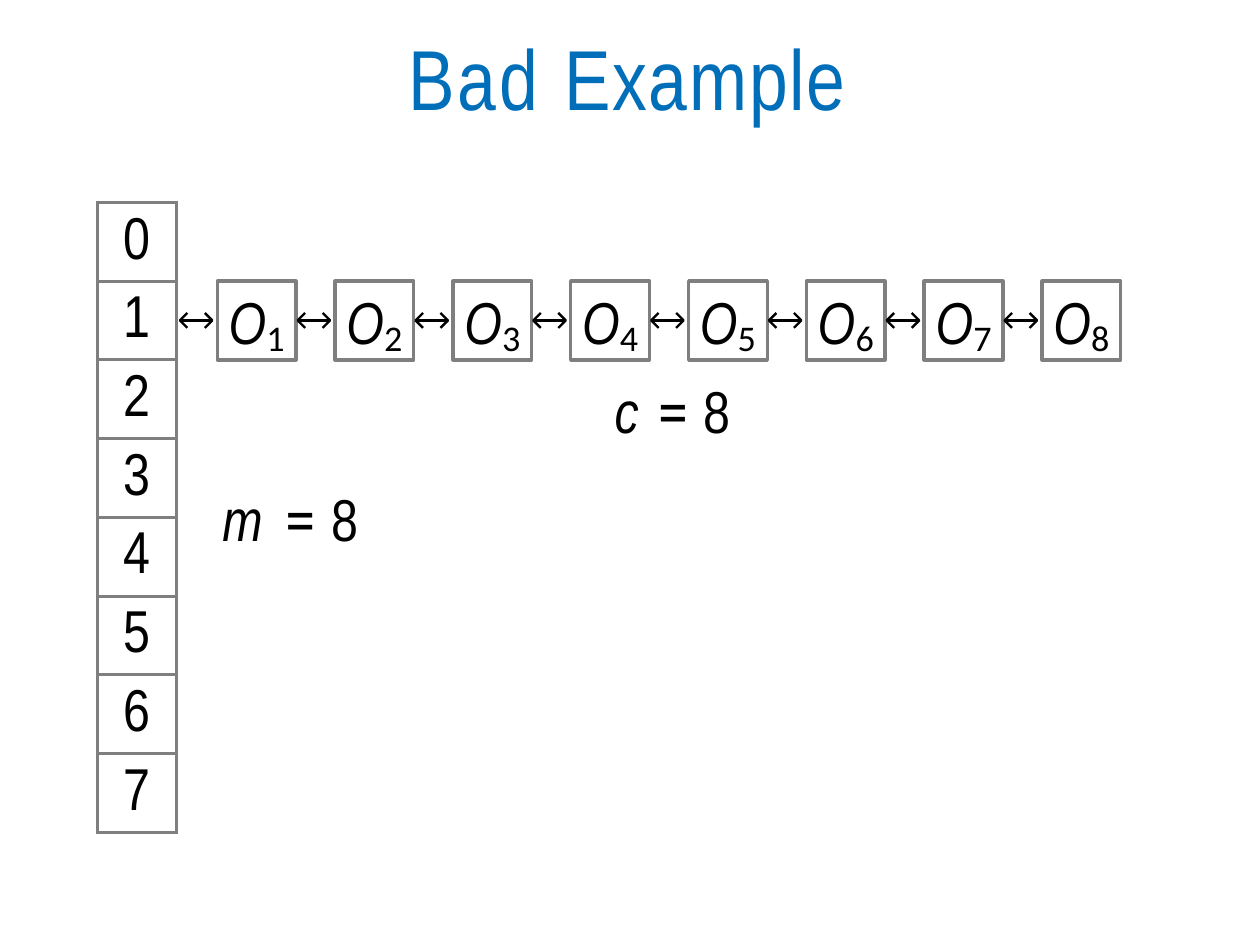
from lxml import etree
from pptx import Presentation
from pptx.dml.color import RGBColor
from pptx.enum.shapes import MSO_CONNECTOR, MSO_SHAPE
from pptx.enum.text import MSO_ANCHOR, MSO_AUTO_SIZE, PP_ALIGN
from pptx.oxml import parse_xml
from pptx.oxml.ns import nsdecls, qn
from pptx.util import Inches, Pt

BLUE = RGBColor(0x00, 0x6E, 0xB8)
GRAY = RGBColor(0x7F, 0x7F, 0x7F)
BLACK = RGBColor(0x00, 0x00, 0x00)
STRAIGHT, RECTANGLE = MSO_CONNECTOR.STRAIGHT, MSO_SHAPE.RECTANGLE
TOP, MIDDLE = MSO_ANCHOR.TOP, MSO_ANCHOR.MIDDLE
LEFT, CENTER = PP_ALIGN.LEFT, PP_ALIGN.CENTER
NO_AUTOFIT = MSO_AUTO_SIZE.NONE

SLOTS = 8
OBJECTS = 8
CELL = 2.52 / SLOTS
TABLE_LEFT, TABLE_TOP = 0.39, 0.81
CHAIN_LEFT = 0.87
CHAIN_TOP = TABLE_TOP + CELL
CHAIN_MIDDLE = CHAIN_TOP + CELL / 2
CHAIN_PITCH = 3.3 / (OBJECTS - 1)
HEAD = 0.03

LETTER = {"name": "Arial Narrow", "size": Pt(17), "italic": True}
DIGIT = {"name": "Arial Narrow", "size": Pt(17)}
EQUALS = {"name": "Roboto", "size": Pt(17)}
SUBSCRIPT = {"name": "Calibri", "size": Pt(18)}
TITLE = {"name": "Arial Narrow", "size": Pt(24.5)}


def prepare_frame(frame, anchor, align, top=0.0):
    """Set the insets and anchor, and return the first paragraph."""
    frame.margin_left = frame.margin_right = frame.margin_bottom = 0
    frame.margin_top = Inches(top)
    frame.vertical_anchor = anchor
    frame.auto_size = NO_AUTOFIT
    para = frame.paragraphs[0]
    para.alignment = align
    return para


def add_span(para, text, look, color=BLACK, **attributes):
    """Add a run; attributes such as spc and baseline go to its XML."""
    span = para.add_run()
    span.text = text
    for name, value in look.items():
        setattr(span.font, name, value)
    span.font.color.rgb = color
    for name, value in attributes.items():
        span._r.get_or_add_rPr().set(name, str(value))


deck = Presentation()
deck.slide_width = Pt(363)
deck.slide_height = Pt(272.5)
page = deck.slides.add_slide(deck.slide_layouts[5])

# Title
title = page.shapes.title
title.left, title.top = Inches(0.21), Inches(0.08)
title.width, title.height = Inches(4.6), Inches(0.44)
para = prepare_frame(title.text_frame, TOP, CENTER, 0.02)
add_span(para, "Bad ", TITLE, BLUE, spc=90)
add_span(para, "Example", TITLE, BLUE, spc=50)

# Hash table slots
slot_frame = page.shapes.add_table(
    SLOTS, 1, Inches(TABLE_LEFT), Inches(TABLE_TOP), Inches(CELL), Inches(CELL * SLOTS))
slots = slot_frame.table
slots.first_row = slots.horz_banding = False
for number in range(SLOTS):
    slots.rows[number].height = Inches(CELL)
    cell = slots.cell(number, 0)
    cell.margin_left = cell.margin_right = cell.margin_top = cell.margin_bottom = 0
    para = cell.text_frame.paragraphs[0]
    para.alignment = CENTER
    para.line_spacing = Pt(19.9)
    add_span(para, str(number), DIGIT)
    properties = cell._tc.get_or_add_tcPr()
    for side in ("lnL", "lnR", "lnT", "lnB"):
        properties.append(parse_xml(
            f'<a:{side} {nsdecls("a")} w="{Pt(1)}"><a:solidFill>'
            f'<a:srgbClr val="{GRAY}"/></a:solidFill></a:{side}>'))
    cell.fill.background()

# Chain of objects, each with a double arrow on its left
for index in range(OBJECTS):
    left = CHAIN_LEFT + index * CHAIN_PITCH
    tail, tip = left - 0.15, left - 0.02
    shaft = page.shapes.add_connector(
        STRAIGHT, Inches(tail), Inches(CHAIN_MIDDLE), Inches(tip), Inches(CHAIN_MIDDLE))
    shaft.line.color.rgb = BLACK
    shaft.line.width = Pt(0.85)
    etree.SubElement(shaft._element.spPr, qn("a:effectLst"))
    for point, back in ((tail, tail + HEAD), (tip, tip - HEAD)):
        outline = page.shapes.build_freeform(
            Inches(back), Inches(CHAIN_MIDDLE - HEAD))
        outline.add_line_segments(
            [(Inches(point), Inches(CHAIN_MIDDLE)),
             (Inches(back), Inches(CHAIN_MIDDLE + HEAD))], close=False)
        head = outline.convert_to_shape()
        head.shadow.inherit = False
        head.fill.background()
        head.line.color.rgb = BLACK
        head.line.width = Pt(0.68)

    box = page.shapes.add_shape(
        RECTANGLE, Inches(left), Inches(CHAIN_TOP), Inches(CELL), Inches(CELL))
    box.shadow.inherit = False
    box.fill.background()
    box.line.color.rgb = GRAY
    box.line.width = Pt(1)
    box.text_frame.word_wrap = False
    para = prepare_frame(box.text_frame, MIDDLE, CENTER)
    add_span(para, "O", LETTER, spc=-20)
    add_span(para, str(index + 1), SUBSCRIPT, spc=-40, baseline=-12000)

# Chain length and table size
for letter, left, top, letter_spacing in (("c", 2.46, 1.5, 60), ("m", 0.89, 1.93, 110)):
    label = page.shapes.add_textbox(Inches(left), Inches(top), Inches(0.6), Inches(0.28))
    label.text_frame.word_wrap = False
    para = prepare_frame(label.text_frame, TOP, LEFT)
    add_span(para, letter + " ", LETTER, spc=letter_spacing)
    add_span(para, "= ", EQUALS)
    add_span(para, "8", DIGIT, spc=-50)

deck.save("out.pptx")
